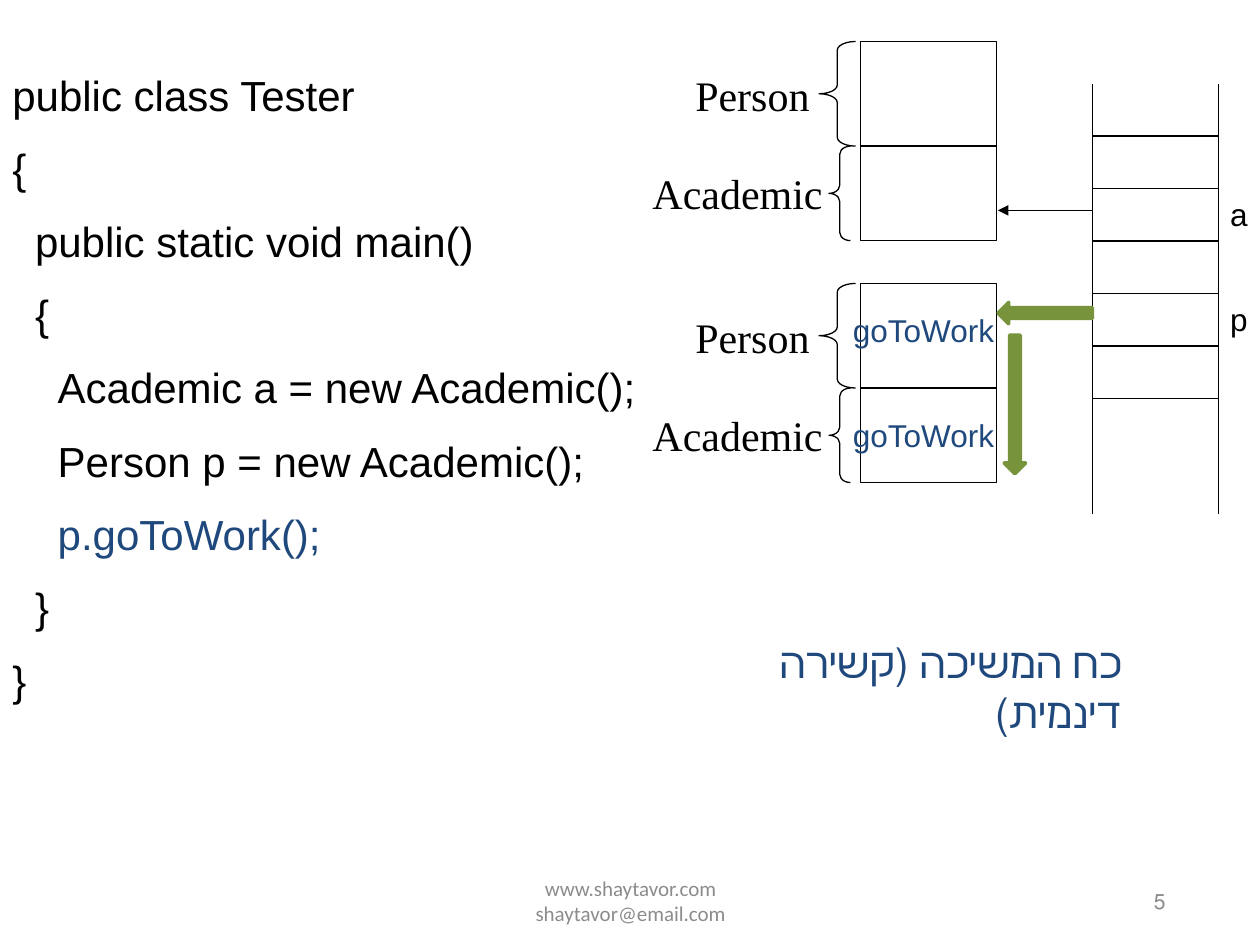
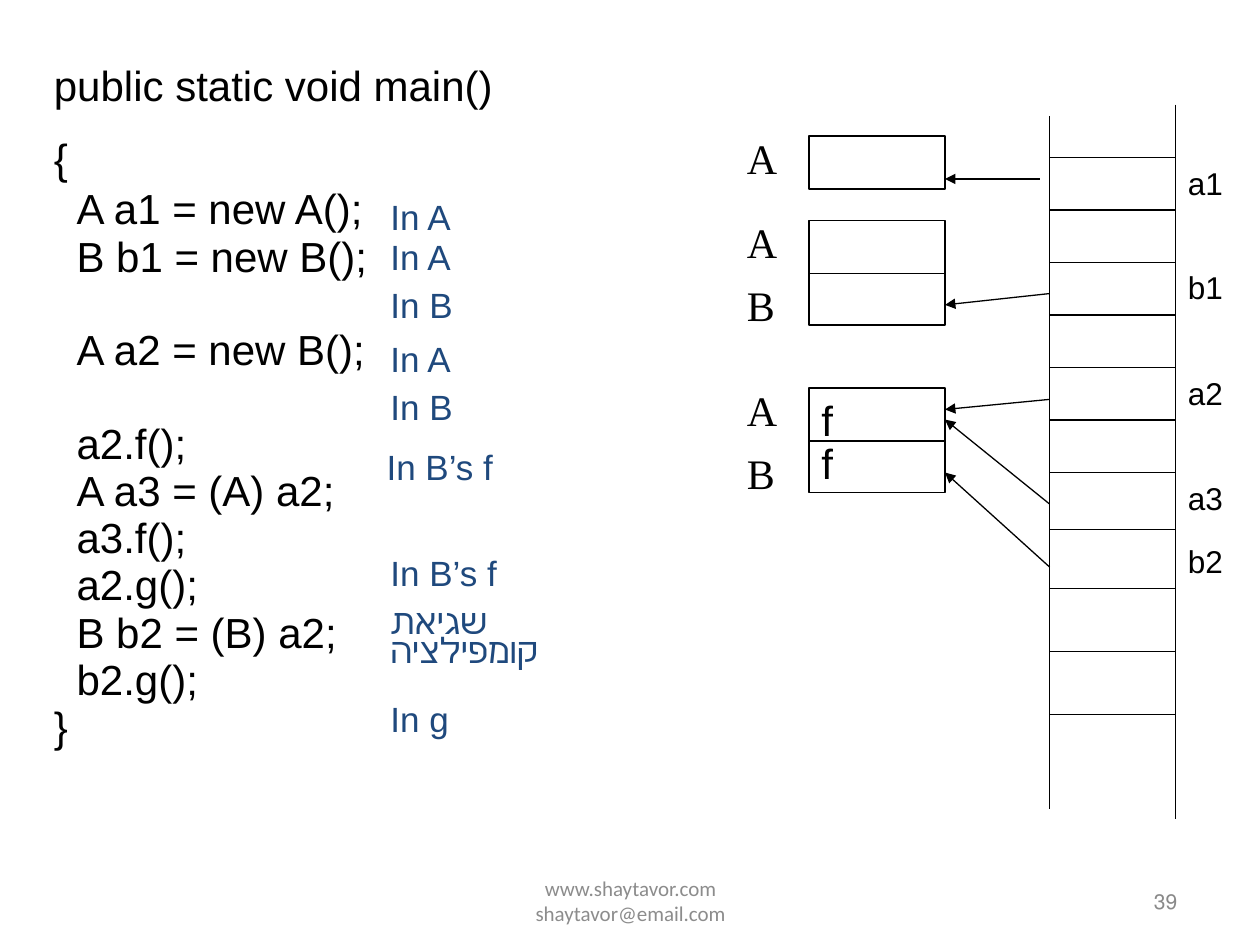
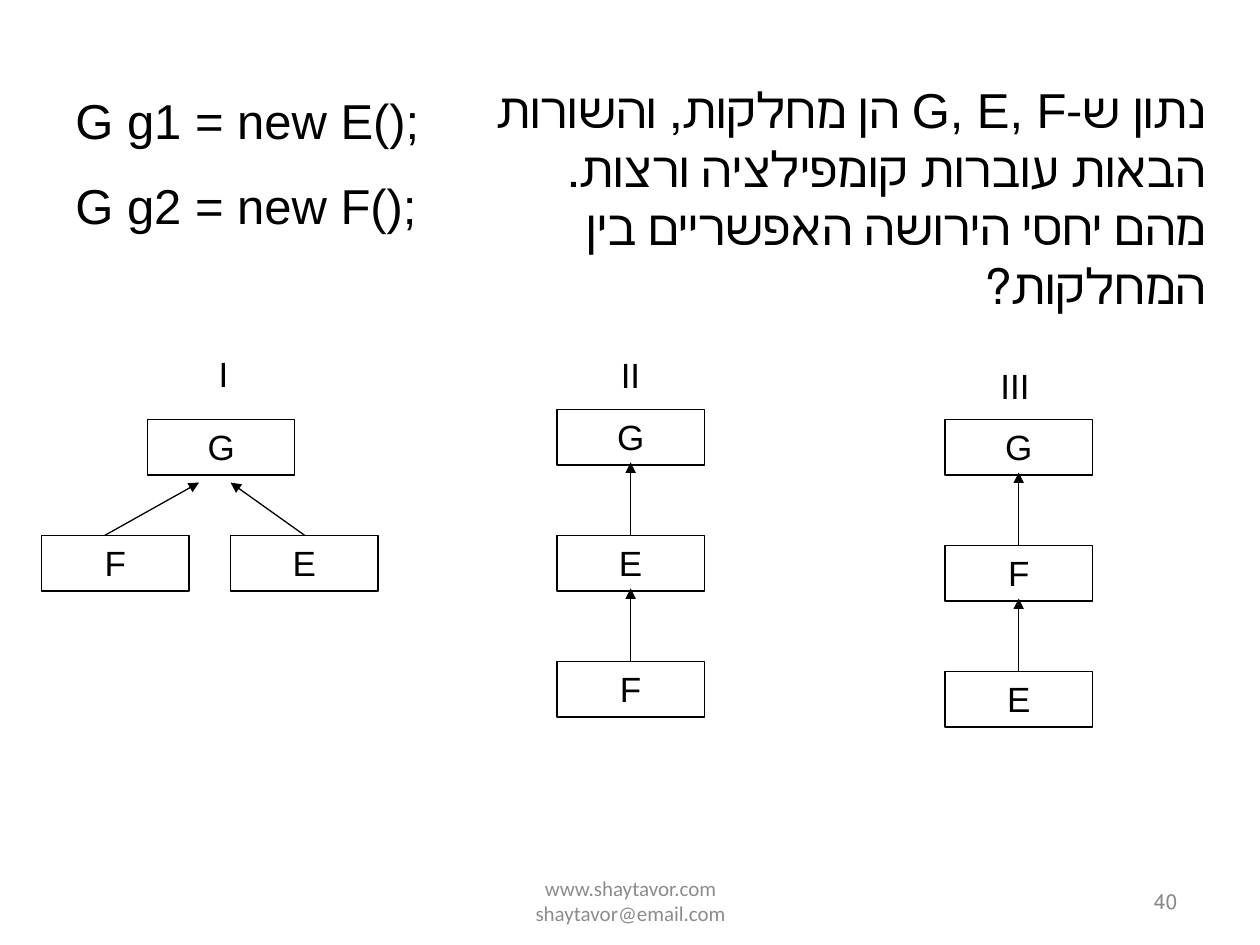
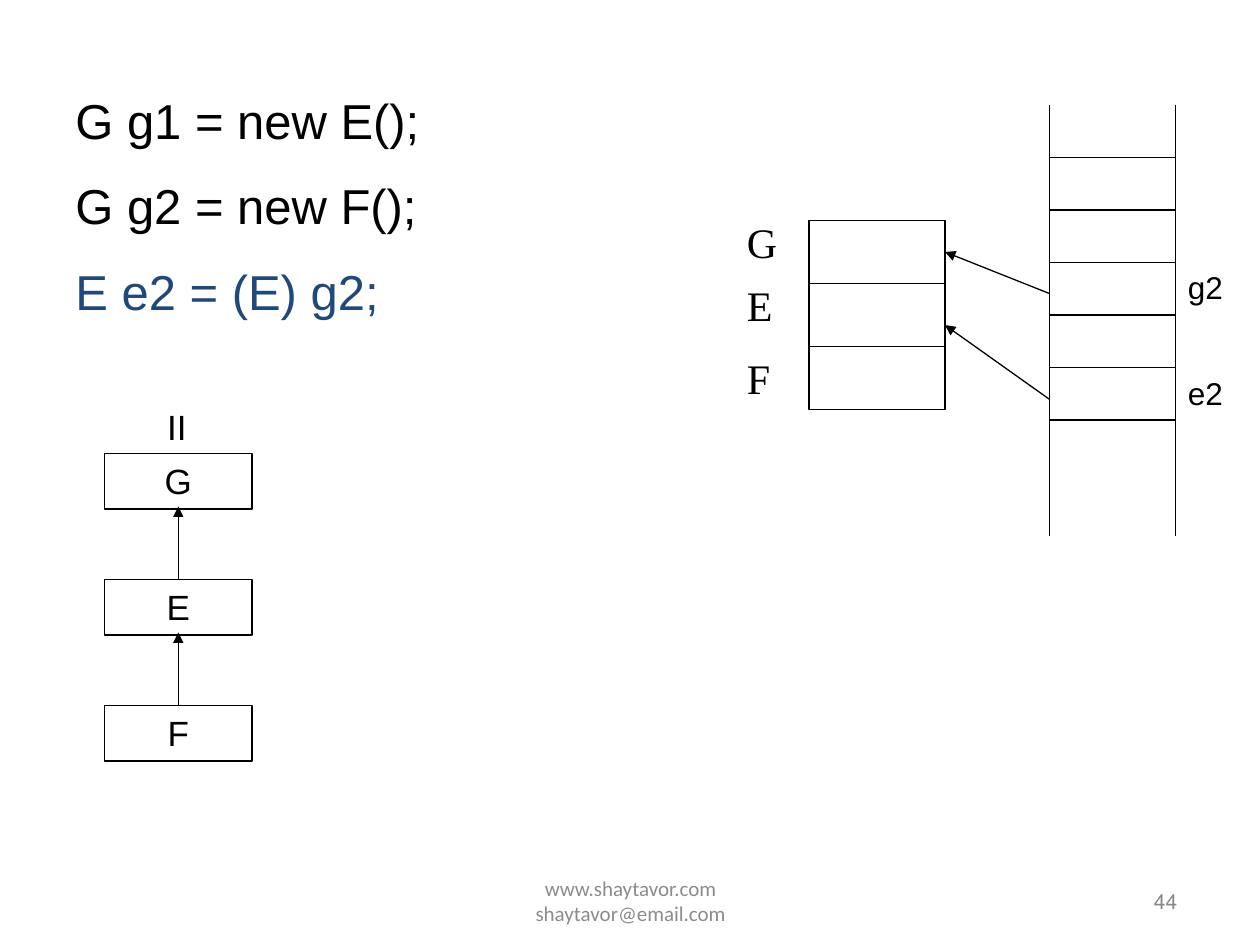
import pptx
import pptx.dml.color
import pptx.enum.shapes
import pptx.enum.text
import pptx.util
from lxml import etree
from pptx.oxml.ns import qn

Inches = pptx.util.Inches
Pt = pptx.util.Pt
SHAPE = pptx.enum.shapes.MSO_SHAPE
ALIGN = pptx.enum.text.PP_ALIGN
ANCHOR = pptx.enum.text.MSO_ANCHOR

COLORS = {"ink": "000000", "accent": "1F497D", "paper": "FFFFFF",
          "arrow": "77933C", "footer": "8C8C8C", "number": "898989"}
FOOTER = "www.shaytavor.com\vshaytavor@email.com"
INDENT = 0.09        # inches for each leading space of a code line
ROW = 5 / 12         # height of one stack cell
OBJECT_WIDTH = 1.08
CLASS_WIDTH, CLASS_HEIGHT = 1.17, 0.44


def rgb(name):
    return pptx.dml.color.RGBColor.from_string(COLORS[name])


def write(frame, text, size=24, font="Arial", color="ink", align=ALIGN.LEFT,
          rtl=False, spacing=1.0, gap=None):
    """Append lines; leading spaces become indents, empty lines become space above."""
    gap = size * 0.54 if gap is None else gap
    skipped = 0
    for line in text.split("\n"):
        if not line:
            skipped += 1
            continue
        first = not frame.text
        para = frame.paragraphs[0] if first else frame.add_paragraph()
        para.text = line.lstrip(" ")
        para.alignment = align
        para.line_spacing = spacing
        para.space_before = Pt(0 if first else
                               round(gap + skipped * (gap + size * 1.15 * spacing), 1))
        skipped = 0
        properties = para._p.get_or_add_pPr()
        depth = len(line) - len(line.lstrip(" "))
        if depth:
            properties.set("marL", str(Inches(INDENT * depth)))
            properties.set("indent", "0")
        if rtl:
            properties.set("rtl", "1")
        for span in para.runs:
            span.font.size = Pt(size)
            span.font.name = font
            span.font.color.rgb = rgb(color)


class Lecture:
    def __init__(self):
        self.deck = pptx.Presentation()
        self.deck.slide_width = Inches(10)
        self.deck.slide_height = Inches(7.5)
        self.page = None

    # Basic elements
    def new_page(self, number):
        self.page = self.deck.slides.add_slide(self.deck.slide_layouts[6])
        self.text(3.42, 6.95, 3.17, 0.4, FOOTER, anchor=ANCHOR.MIDDLE, size=12,
                  font="Calibri", color="footer", align=ALIGN.CENTER, rtl=True)
        self.text(9.06, 6.95, 0.44, 0.4, str(number), anchor=ANCHOR.MIDDLE, size=12,
                  font="Calibri", color="number", rtl=True)

    def text(self, left, top, width, height, words, anchor=ANCHOR.TOP, **style):
        box = self.page.shapes.add_textbox(Inches(left), Inches(top),
                                           Inches(width), Inches(height))
        frame = box.text_frame
        frame.word_wrap = True
        frame.vertical_anchor = anchor
        write(frame, words, **style)
        return frame

    def shape(self, kind, left, top, width, height, fill=None, line="ink", weight=0.75):
        item = self.page.shapes.add_shape(kind, Inches(left), Inches(top),
                                          Inches(width), Inches(height))
        item.shadow.inherit = False
        if fill:
            item.fill.solid()
            item.fill.fore_color.rgb = rgb(fill)
        else:
            item.fill.background()
        item.line.color.rgb = rgb(line)
        item.line.width = Pt(weight)
        return item

    def line(self, x1, y1, x2, y2, arrow=False):
        link = self.page.shapes.add_connector(
            pptx.enum.shapes.MSO_CONNECTOR.STRAIGHT,
            Inches(x1), Inches(y1), Inches(x2), Inches(y2))
        link.line.color.rgb = rgb("ink")
        link.line.width = Pt(0.75)
        if arrow:
            etree.SubElement(link.line._get_or_add_ln(), qn("a:tailEnd"), type="triangle")
        etree.SubElement(link._element.spPr, qn("a:effectLst"))

    # Memory diagrams
    def stack(self, left, top, bottom, rows, right_top=None, right_bottom=None):
        right = left + 1
        self.line(right, right_top or top, right, right_bottom or bottom)
        self.line(left, top, left, bottom)
        for y in rows:
            self.line(left, y, right, y)

    def instance(self, left, top, height, dividers=()):
        self.shape(SHAPE.RECTANGLE, left, top, OBJECT_WIDTH, height, fill="paper")
        for y in dividers:
            self.line(left, top + y, left + OBJECT_WIDTH, top + y)

    def part_name(self, left, top, name, width=0.58):
        self.text(left, top, width, 0.58, name, font="Times New Roman")

    def variable(self, top, name):
        self.text(9.33, top, 0.67, 0.4, name, size=18)

    def braced_instance(self, top):
        self.instance(6.83, top, 1.58, [0.83])
        for left, offset, width, height, curve in ((6.5, 0, 0.29, 0.83, 0.24),
                                                   (6.58, 0.83, 0.17, 0.75, 0.38)):
            brace = self.shape(SHAPE.LEFT_BRACE, left, top + offset, width, height)
            brace.adjustments[0] = curve
        self.part_name(5.42, top + 0.17, "Person", 1.17)
        self.part_name(5.08, top + 0.95, "Academic", 1.58)

    # Class diagrams
    def class_box(self, left, top, name):
        item = self.shape(SHAPE.RECTANGLE, left, top, CLASS_WIDTH, CLASS_HEIGHT)
        item.text_frame.vertical_anchor = ANCHOR.TOP
        write(item.text_frame, name, size=20, align=ALIGN.CENTER, rtl=True)

    def class_chain(self, left, top, names):
        center = left + CLASS_WIDTH / 2
        for level, name in enumerate(names):
            self.class_box(left, top + level, name)
            if level:
                self.line(center, top + level, center, top + level - 0.58, arrow=True)

    def numeral(self, left, top, words):
        self.text(left, top, 0.83, 0.43, words, size=20, align=ALIGN.RIGHT, rtl=True)


def stack_rows(first, count):
    return [first + ROW * index for index in range(count)]


def dynamic_binding(lecture):
    lecture.new_page(5)
    code = lecture.text(0, 0.5, 5.33, 5.35, """public class Tester
{
  public static void main()
  {
    Academic a = new Academic();
    Person p = new Academic();""")
    write(code, "    p.goToWork();", color="accent")
    write(code, "  }\n}")

    lecture.stack(8.67, 0.67, 4.08, stack_rows(1.08, 6))
    for left, top, width, name in ((9.42, 1.5, 0.58, "a"), (9.58, 2.33, 0.42, "p")):
        lecture.text(left, top, width, 0.4, name, size=18, align=ALIGN.RIGHT, rtl=True)
    for top, pointer in ((0.33, 1.67), (2.25, 2.5)):
        lecture.braced_instance(top)
        lecture.line(8.67, pointer, 7.92, pointer, arrow=True)
    for top in (2.42, 3.25):
        lecture.text(6.67, top, 1.42, 0.4, "goToWork", size=18, color="accent")
    lecture.text(5.08, 5, 3.92, 0.5, "כח המשיכה (קשירה דינמית)",
                 color="accent", align=ALIGN.RIGHT, rtl=True)
    for kind, *place in ((SHAPE.LEFT_ARROW, 7.92, 2.4, 0.75, 0.17),
                         (SHAPE.DOWN_ARROW, 7.97, 2.66, 0.17, 1.1)):
        lecture.shape(kind, *place, fill="arrow", line="arrow", weight=2)


def tracing_output(lecture):
    lecture.new_page(39)
    code = lecture.text(0.33, 0.42, 4.5, 6.69, "public static void main()\n{")
    write(code, """  A a1 = new A();
  B b1 = new B();

  A a2 = new B();

  a2.f();
  A a3 = (A) a2;
  a3.f();
  a2.g();
  B b2 = (B) a2;
  b2.g();
}""", spacing=0.5, gap=12.6)

    # Stack and objects
    lecture.stack(8.33, 0.92, 6.42, stack_rows(1.25, 7) + [4.2, 4.67, 5.17, 5.67],
                  right_top=0.83, right_bottom=6.5)
    lecture.instance(6.42, 1.08, 0.42)
    for top in (1.75, 3.08):
        lecture.instance(6.42, top, 0.83, [0.42])
    for top, name in ((1, "A"), (1.67, "A"), (2.17, "B"), (3, "A"), (3.5, "B")):
        lecture.part_name(5.83, top, name)
    for top, name in ((1.25, "a1"), (2.08, "b1"), (2.92, "a2"), (3.75, "a3"), (4.25, "b2")):
        lecture.variable(top, name)
    for x, start, end in ((8.25, 1.42, 1.42), (8.33, 2.33, 2.42), (8.33, 3.17, 3.25),
                          (8.33, 4, 3.33), (8.33, 4.5, 3.75)):
        lecture.line(x, start, 7.5, end, arrow=True)
    for top in (3.08, 3.42):
        lecture.text(6.42, top, 0.5, 0.5, "f")

    # Printed results
    lecture.text(3, 1.5, 1.92, 0.43, "In A", size=20, color="accent")
    for left, top, width, height, words in (
            (3, 1.91, 2, 0.75, "In A\nIn B"),
            (3, 2.72, 2, 0.75, "In A\nIn B"),
            (2.97, 3.58, 2, 0.34, "In B’s f"),
            (3, 4.42, 2, 0.34, "In B’s f"),
            (3, 4.8, 2.17, 0.34, "שגיאת קומפילציה"),
            (3, 5.58, 2, 0.34, "In g")):
        lecture.text(left, top, width, height, words, size=20, color="accent", spacing=0.7)


def possible_hierarchies(lecture):
    lecture.new_page(40)
    lecture.text(0.5, 0.67, 5.58, 1.27, "G g1 = new E();\nG g2 = new F();", size=28)
    lecture.text(3.75, 0.58, 5.92, 1.97,
                 "נתון ש-G, E, F הן מחלקות, והשורות הבאות עוברות קומפילציה ורצות. "
                 "מהם יחסי הירושה האפשריים בין המחלקות?",
                 size=28, align=ALIGN.RIGHT, rtl=True)
    for left, top, name in ((1.17, 3.33, "G"), (0.33, 4.25, "F"), (1.83, 4.25, "E")):
        lecture.class_box(left, top, name)
    lecture.line(0.83, 4.25, 1.58, 3.83, arrow=True)
    lecture.line(2.42, 4.25, 1.83, 3.83, arrow=True)
    lecture.class_chain(4.42, 3.25, "GEF")
    lecture.class_chain(7.5, 3.33, "GFE")
    for left, top, words in ((1.08, 2.75, "I"), (4.35, 2.76, "II"), (7.44, 2.84, "III")):
        lecture.numeral(left, top, words)


def casting_down(lecture):
    lecture.new_page(44)
    code = lecture.text(0.5, 0.67, 5.58, 1.97, "G g1 = new E();\nG g2 = new F();", size=28)
    write(code, "E e2 = (E) g2;", size=28, color="accent")
    lecture.stack(8.33, 0.83, 4.25, stack_rows(1.25, 6))
    lecture.instance(6.42, 1.75, 1.5, [0.5, 1])
    for top, name in ((1.67, "G"), (2.17, "E"), (2.75, "F")):
        lecture.part_name(5.83, top, name)
    for top, name, start, end in ((2.08, "g2", 2.33, 2), (2.92, "e2", 3.17, 2.58)):
        lecture.variable(top, name)
        lecture.line(8.33, start, 7.5, end, arrow=True)
    lecture.class_chain(0.83, 3.6, "GEF")
    lecture.numeral(0.75, 3.17, "II")


def main():
    lecture = Lecture()
    dynamic_binding(lecture)
    tracing_output(lecture)
    possible_hierarchies(lecture)
    casting_down(lecture)
    lecture.deck.save("out.pptx")


if __name__ == "__main__":
    main()
